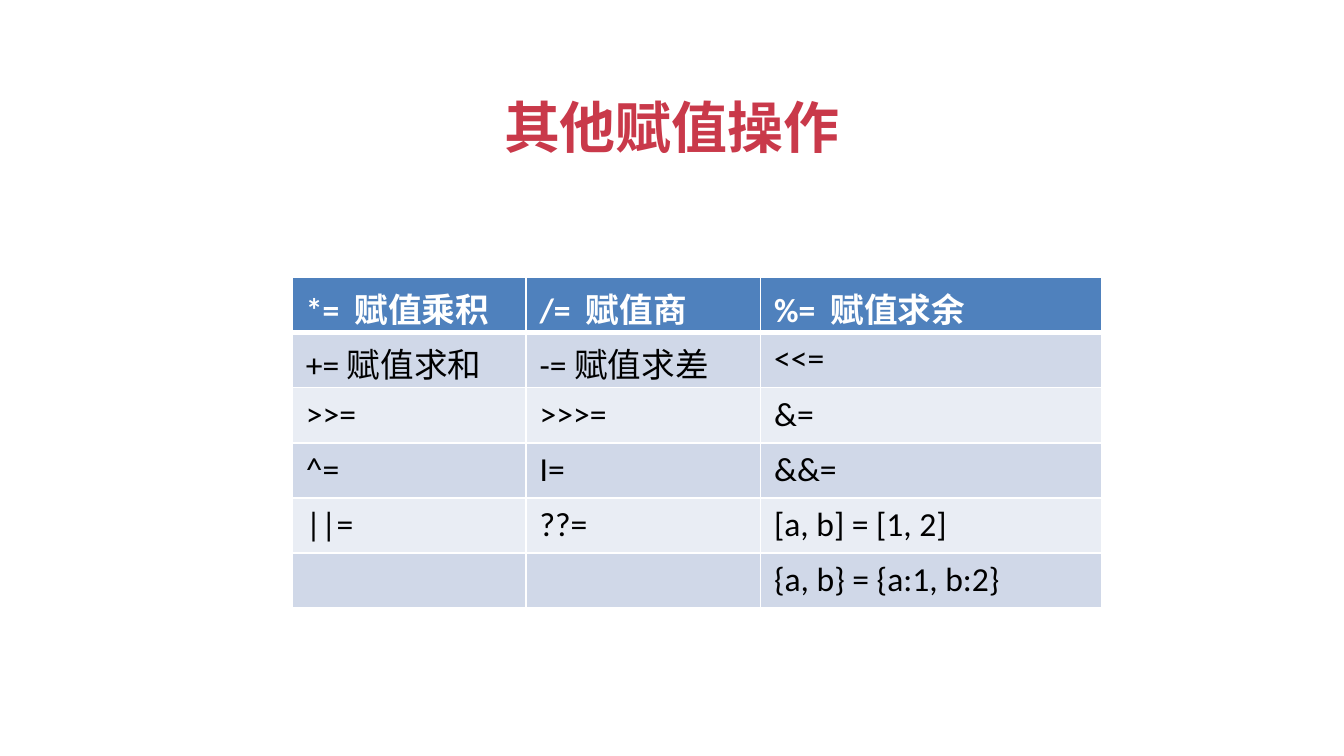
import pptx
import pptx.dml.color
import pptx.enum.text
import pptx.oxml
import pptx.oxml.ns
import pptx.util

PX = 4572  # 200 px to the inch
COLORS = {
    "title": "C9394A",
    "header": "4F81BD",
    "header_text": "FFFFFF",
    "border": "FFFFFF",
    "odd_row": "D0D8E8",
    "even_row": "E9EDF4",
    "text": "000000",
}
LATIN_FONT = "Calibri"
CHINESE_FONT = "Noto Sans CJK SC"

COLUMN_WIDTHS = [348, 349, 508]
ROW_HEIGHT = 82
OPERATORS = [
    ["*=  赋值乘积", "/=  赋值商", "%=  赋值求余"],
    ["+= 赋值求和", "-= 赋值求差", "<<="],
    [">>=", ">>>=", "&="],
    ["^=", "I=", "&&="],
    ["||=", "??=", "[a, b] = [1, 2]"],
    ["", "", "{a, b} = {a:1, b:2}"],
]


def rgb(name):
    return pptx.dml.color.RGBColor.from_string(COLORS[name])


def add_run(paragraph, text, size, color, bold, latin):
    run = paragraph.add_run()
    run.text = text
    run.font.size = pptx.util.Pt(size)
    run.font.bold = bold
    run.font.color.rgb = rgb(color)
    run.font.name = latin
    # East Asian characters take their own typeface
    east_asian = pptx.oxml.parse_xml(
        f'<a:ea {pptx.oxml.ns.nsdecls("a")} typeface="{CHINESE_FONT}"/>')
    run.font._element.append(east_asian)


def set_borders(cell, top, bottom):
    properties = cell._tc.get_or_add_tcPr()
    widths = {"lnL": 1, "lnR": 1, "lnT": top, "lnB": bottom}
    for index, (side, width) in enumerate(widths.items()):
        properties.insert(index, pptx.oxml.parse_xml(
            f'<a:{side} {pptx.oxml.ns.nsdecls("a")} w="{pptx.util.Pt(width)}">'
            f'<a:solidFill><a:srgbClr val="{COLORS["border"]}"/></a:solidFill>'
            f'</a:{side}>'))


def place_title(slide, left, top, width, height):
    title = slide.shapes.title
    title.left, title.top = left * PX, top * PX
    title.width, title.height = width * PX, height * PX
    frame = title.text_frame
    frame.margin_left = frame.margin_right = 0
    frame.word_wrap = False
    frame.auto_size = pptx.enum.text.MSO_AUTO_SIZE.NONE
    frame.vertical_anchor = pptx.enum.text.MSO_ANCHOR.MIDDLE
    paragraph = frame.paragraphs[0]
    paragraph.alignment = pptx.enum.text.PP_ALIGN.CENTER
    add_run(paragraph, "其他赋值操作", 30, "title", True, CHINESE_FONT)


def add_operator_table(slide, left, top):
    table = slide.shapes.add_table(
        len(OPERATORS), len(COLUMN_WIDTHS), left * PX, top * PX,
        sum(COLUMN_WIDTHS) * PX, len(OPERATORS) * ROW_HEIGHT * PX).table
    for column, width in zip(table.columns, COLUMN_WIDTHS):
        column.width = width * PX

    for row_index, texts in enumerate(OPERATORS):
        is_header = row_index == 0
        band = "odd_row" if row_index % 2 else "even_row"
        for column_index, text in enumerate(texts):
            cell = table.cell(row_index, column_index)
            cell.fill.solid()
            cell.fill.fore_color.rgb = rgb("header" if is_header else band)
            # A thick rule parts the header from the body
            set_borders(cell, 3 if row_index == 1 else 1, 3 if is_header else 1)
            if row_index < 2:
                # The taller Chinese lines need the room below them
                cell.margin_bottom = 0
            if text:
                add_run(cell.text_frame.paragraphs[0], text, 18,
                        "header_text" if is_header else "text",
                        is_header, LATIN_FONT)


def main():
    presentation = pptx.Presentation()
    presentation.slide_width = 2000 * PX
    presentation.slide_height = 1125 * PX
    slide = presentation.slides.add_slide(presentation.slide_layouts[5])
    place_title(slide, 730, 124, 540, 128)
    add_operator_table(slide, 435, 412)
    presentation.save("out.pptx")


if __name__ == "__main__":
    main()
